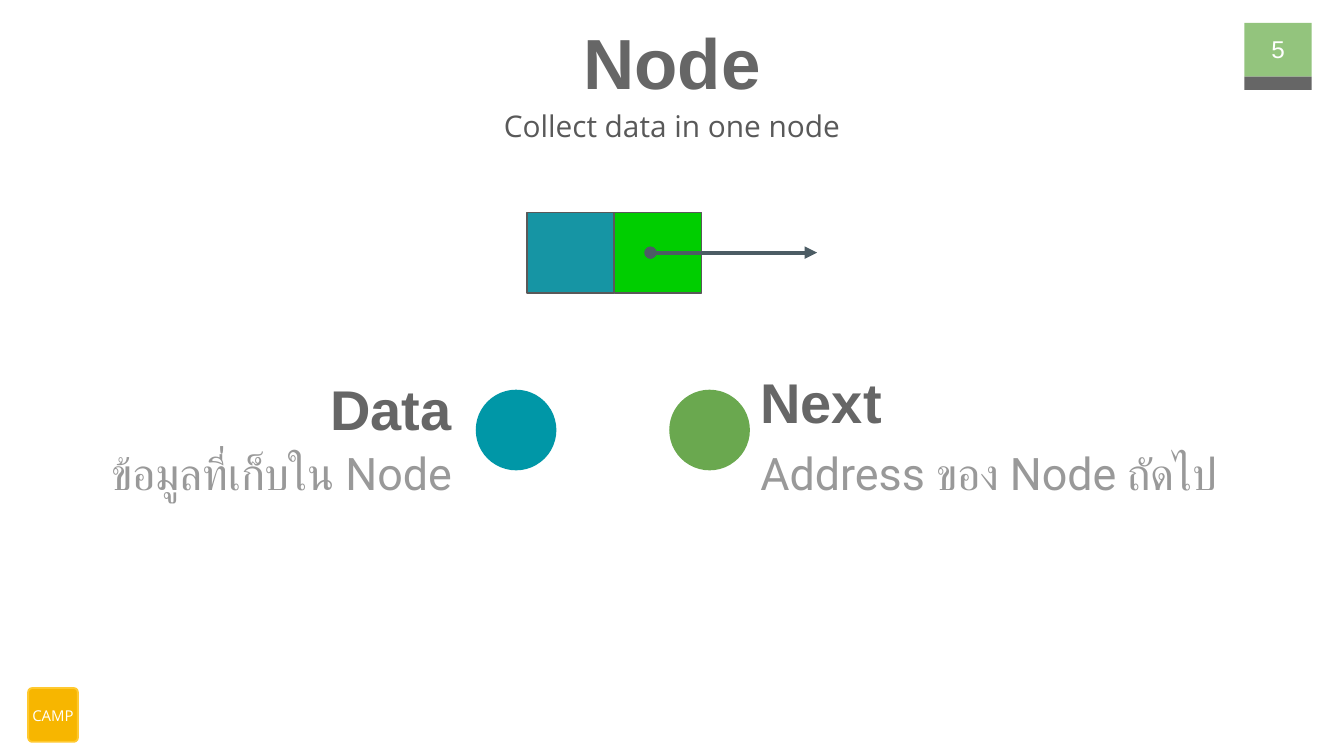
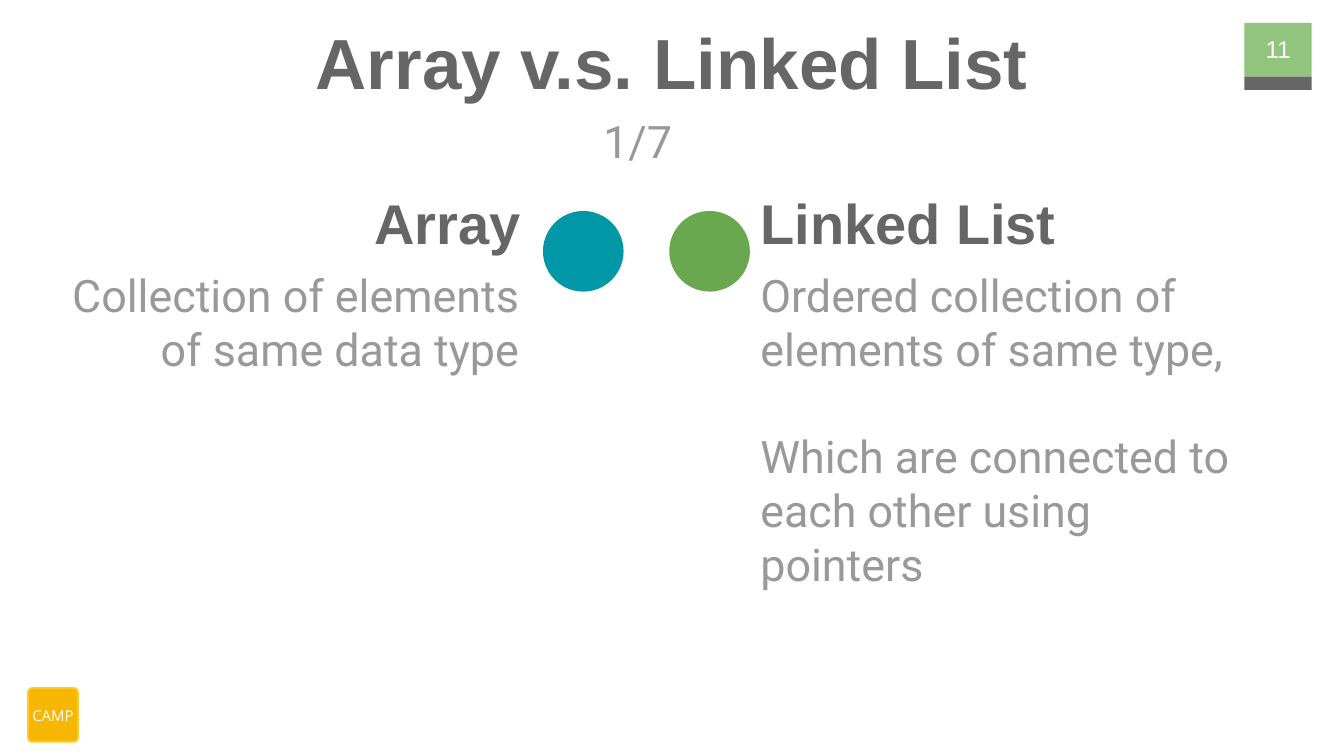
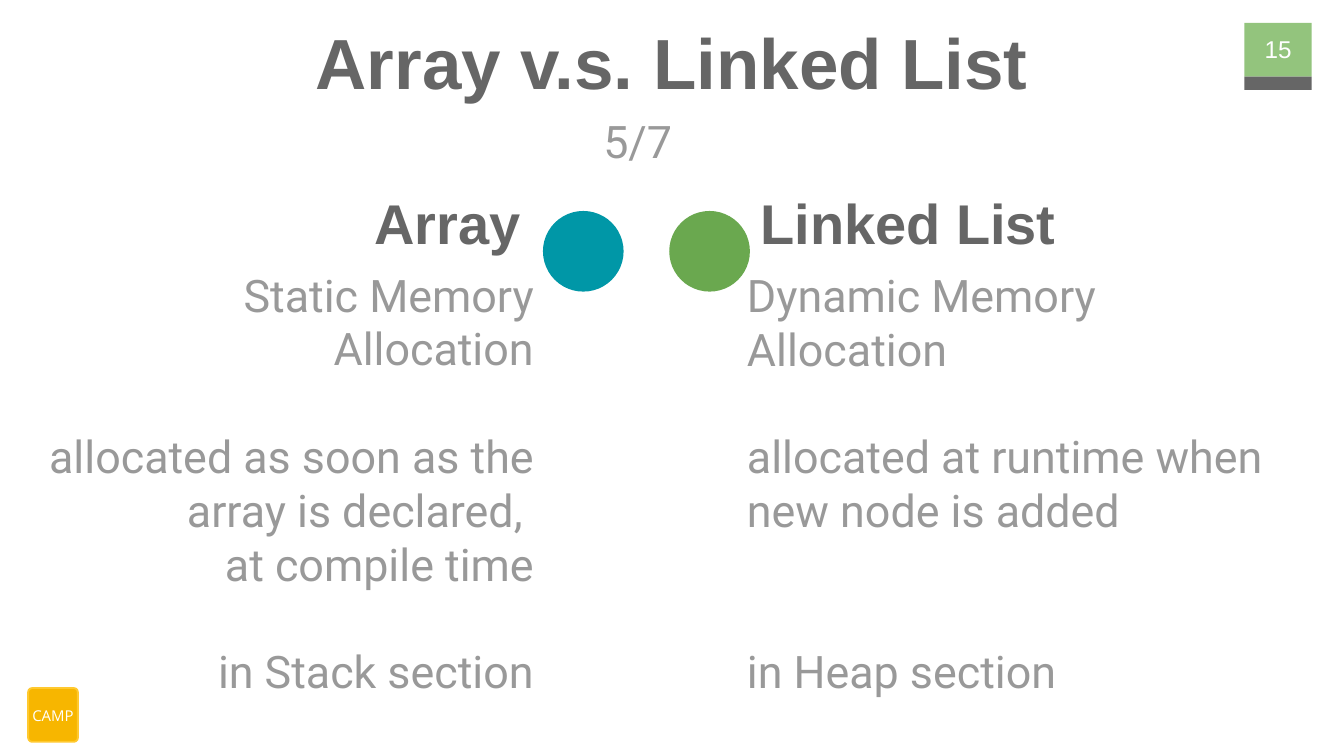
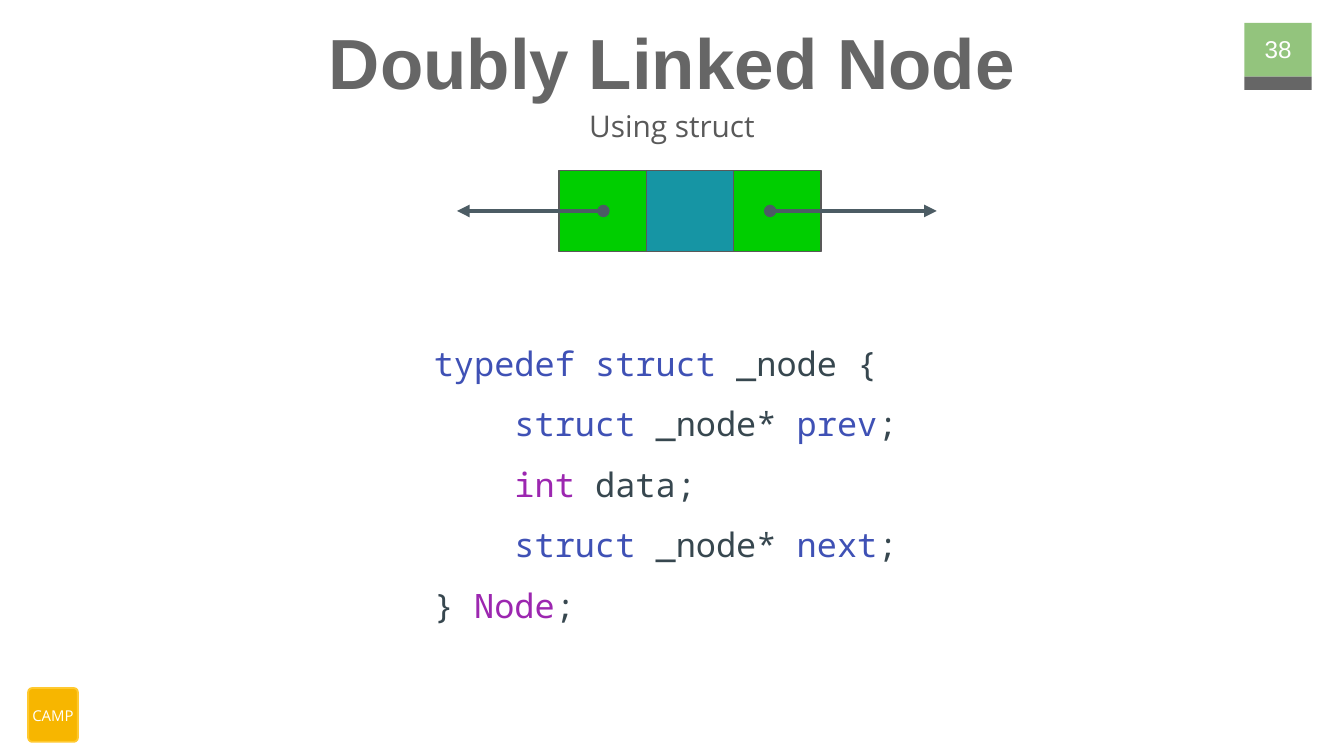
from dataclasses import dataclass

from lxml.etree import SubElement
from pptx import Presentation
from pptx.dml.color import RGBColor
from pptx.enum.shapes import MSO_CONNECTOR, MSO_SHAPE
from pptx.enum.text import MSO_ANCHOR, PP_ALIGN
from pptx.oxml.ns import qn
from pptx.util import Emu, Pt

PX = 9144


@dataclass(frozen=True)
class Theme:
    """Colours, fonts and type sizes of the deck."""
    white: str = "FFFFFF"
    heading: str = "666666"
    subtitle: str = "595959"
    body: str = "999999"
    badge: str = "93C47D"
    mark: str = "F7B600"
    mark_edge: str = "FFC92F"
    left_dot: str = "0097A7"
    right_dot: str = "6AA84F"
    data_cell: str = "1695A4"
    link_cell: str = "00CE00"
    arrow: str = "4C5C64"
    code: str = "37474F"
    keyword: str = "3F51B5"
    type_name: str = "9C27B0"
    heading_font: str = "Arial"
    subtitle_font: str = "Open Sans"
    body_font: str = "Roboto"
    code_font: str = "Noto Sans Mono"
    title_size: int = 38
    heading_size: int = 30
    body_size: int = 24
    code_size: int = 18
    subtitle_size: int = 16
    number_size: int = 13
    mark_size: int = 8


def write(box, text, *, font, size, color, bold=False, align=PP_ALIGN.LEFT,
          anchor=MSO_ANCHOR.TOP, inset=10, spacing=None, after=None, gaps=(), indents=()):
    """Fill a box with paragraphs, each a string or a list of (text, colour) spans."""
    frame = box.text_frame
    frame.word_wrap = True
    frame.vertical_anchor = anchor
    frame.margin_left = frame.margin_right = Emu(inset * PX)
    frame.margin_top = frame.margin_bottom = Emu(inset * PX)
    paragraphs = [text] if isinstance(text, str) else text
    for index, content in enumerate(paragraphs):
        para = frame.add_paragraph() if index else frame.paragraphs[0]
        para.alignment = align
        if spacing:
            para.line_spacing = spacing
        if after:
            para.space_after = Pt(after)
        if gaps:
            para.space_before = Pt(gaps[index])
        if indents:
            para._p.get_or_add_pPr().set("marL", str(indents[index] * PX))
        spans = [(content, color)] if isinstance(content, str) else content
        for words, span_color in spans:
            span = para.add_run()
            span.text = words
            span.font.name = font
            span.font.size = Pt(size)
            span.font.bold = bold
            span.font.color.rgb = RGBColor.from_string(span_color)
            SubElement(span.font._element, qn("a:cs"), typeface=font)


class Builder:
    """Draws styled elements on the current slide."""

    def __init__(self, deck, theme):
        """Keep the deck and its theme."""
        self.deck = deck
        self.theme = theme
        self.slide = None

    def page(self, title, number, subtitle=None, step=None):
        """Start a slide with its title, number badge and corner mark."""
        theme = self.theme
        self.slide = self.deck.slides.add_slide(self.deck.slide_layouts[6])
        self.shape(926, 17, 50, 40, theme.badge)
        self.shape(926, 57, 50, 10, theme.heading)
        mark = self.shape(21, 512, 37, 40, theme.mark, kind=MSO_SHAPE.ROUNDED_RECTANGLE,
                          edge=theme.mark_edge, weight=1)
        mark.adjustments[0] = 0.08
        self.text(21, 526, 37, 20, "CAMP", font=theme.subtitle_font, size=theme.mark_size,
                  color=theme.white, align=PP_ALIGN.CENTER, inset=0)
        self.text(34, 4, 932, 63, title, font=theme.heading_font, size=theme.title_size,
                  color=theme.heading, bold=True, align=PP_ALIGN.CENTER)
        self.text(921, 15, 60, 43, str(number), font=theme.heading_font,
                  size=theme.number_size, color=theme.white, align=PP_ALIGN.CENTER,
                  anchor=MSO_ANCHOR.MIDDLE)
        if subtitle:
            self.text(246, 66, 508, 43, subtitle, font=theme.subtitle_font,
                      size=theme.subtitle_size, color=theme.subtitle,
                      align=PP_ALIGN.CENTER, spacing=1.15, after=16)
        if step:
            self.body(409, 75, 131, 63, step, align=PP_ALIGN.CENTER)

    def text(self, left, top, width, height, text, **style):
        """Add a text box."""
        box = self.slide.shapes.add_textbox(*[Emu(n * PX) for n in (left, top, width, height)])
        write(box, text, **style)

    def body(self, left, top, width, height, text, **style):
        """Add body text."""
        self.text(left, top, width, height, text, font=self.theme.body_font,
                  size=self.theme.body_size, color=self.theme.body, **style)

    def heading(self, left, top, width, text, **style):
        """Add a column heading."""
        self.text(left, top, width, 37, text, font=self.theme.heading_font,
                  size=self.theme.heading_size, color=self.theme.heading, bold=True,
                  anchor=MSO_ANCHOR.MIDDLE, **style)

    def shape(self, left, top, width, height, fill, kind=MSO_SHAPE.RECTANGLE,
              edge=None, weight=0.75):
        """Add a flat preset shape with an optional edge."""
        shape = self.slide.shapes.add_shape(
            kind, *[Emu(n * PX) for n in (left, top, width, height)])
        shape.shadow.inherit = False
        shape.fill.solid()
        shape.fill.fore_color.rgb = RGBColor.from_string(fill)
        if edge:
            shape.line.color.rgb = RGBColor.from_string(edge)
            shape.line.width = Pt(weight)
        else:
            shape.line.fill.background()
        return shape

    def dots(self, left, top):
        """Add the pair of column dots, the right one at a fixed place."""
        for x, color in ((left, self.theme.left_dot), (498, self.theme.right_dot)):
            self.shape(x, top, 60, 60, color, kind=MSO_SHAPE.OVAL)

    def pointer(self, start, end, y):
        """Add a level arrow with a round tail."""
        line = self.slide.shapes.add_connector(
            MSO_CONNECTOR.STRAIGHT, *[Emu(n * PX) for n in (start, y, end, y)])
        line.line.color.rgb = RGBColor.from_string(self.theme.arrow)
        line.line.width = Pt(2.25)
        outline = line.line._get_or_add_ln()
        SubElement(outline, qn("a:headEnd"), type="oval")
        SubElement(outline, qn("a:tailEnd"), type="triangle")
        SubElement(line._element.spPr, qn("a:effectLst"))

    def node(self, left, top, doubly=False):
        """Draw a list node whose data cell starts at left."""
        theme = self.theme
        side = 65
        cells = [(left, theme.data_cell), (left + side, theme.link_cell)]
        if doubly:
            cells.append((left - side, theme.link_cell))
        for x, color in cells:
            self.shape(x, top, side, 60, color, edge=theme.subtitle)
        self.pointer(left + 92, left + 216, top + 30)
        if doubly:
            self.pointer(left - 32, left - 141, top + 30)

    def versus(self, number, step):
        """Start a comparison slide with its two column headings."""
        self.page("Array v.s. Linked List", number, step=step)
        self.heading(253, 147, 144, "Array", align=PP_ALIGN.RIGHT)
        self.heading(556, 147, 263, "Linked List")
        self.dots(404, 157)

    def code(self, left, top, width, height, lines, indents):
        """Add a code listing with coloured spans."""
        self.text(left, top, width, height, lines, font=self.theme.code_font,
                  size=self.theme.code_size, color=self.theme.code, spacing=1.5,
                  indents=indents)


def main():
    """Build the deck and save it."""
    deck = Presentation()
    deck.slide_width, deck.slide_height = Emu(1000 * PX), Emu(5143500)
    theme = Theme()
    build = Builder(deck, theme)
    blank_line = 28.8

    build.page("Node", 5, subtitle="Collect data in one node")
    build.node(392, 158)
    build.heading(202, 285, 144, "Data", align=PP_ALIGN.RIGHT)
    build.heading(556, 280, 144, "Next")
    build.dots(354, 290)
    build.body(54, 322, 292, 60, "ข้อมูลที่เก็บใน Node", align=PP_ALIGN.RIGHT)
    build.body(556, 322, 393, 60, "Address ของ Node ถัดไป", align=PP_ALIGN.JUSTIFY)

    build.versus(11, "1/7")
    build.body(34, 189, 362, 182, "Collection of elements of same data type",
               align=PP_ALIGN.RIGHT)
    build.body(556, 189, 393, 272,
               ["Ordered collection of elements of same type,",
                "Which are connected to each other using pointers"],
               gaps=(0, blank_line))

    build.versus(15, "5/7")
    build.body(20, 189, 387, 343,
               ["Static Memory Allocation",
                "allocated as soon as the array is declared, ",
                "at compile time",
                "in Stack section"],
               align=PP_ALIGN.RIGHT, gaps=(0, blank_line, 0, blank_line))
    build.body(546, 189, 430, 328,
               ["Dynamic Memory Allocation",
                "allocated at runtime when new node is added",
                "in Heap section"],
               gaps=(0, blank_line, 2 * blank_line))

    build.page("Doubly Linked Node", 38, subtitle="Using struct")
    build.node(481, 127, doubly=True)
    plain, keyword, type_name = theme.code, theme.keyword, theme.type_name
    links = [[("struct", keyword), (" _node* ", plain), (name, keyword), (";", plain)]
             for name in ("prev", "next")]
    build.code(313, 230, 583, 313,
               [[("typedef struct", keyword), (" _node {", plain)],
                links[0],
                [("int ", type_name), ("data;", plain)],
                links[1],
                [("} ", plain), ("Node", type_name), (";", plain)]],
               indents=(0, 60, 60, 60, 0))

    deck.save("out.pptx")


if __name__ == "__main__":
    main()
